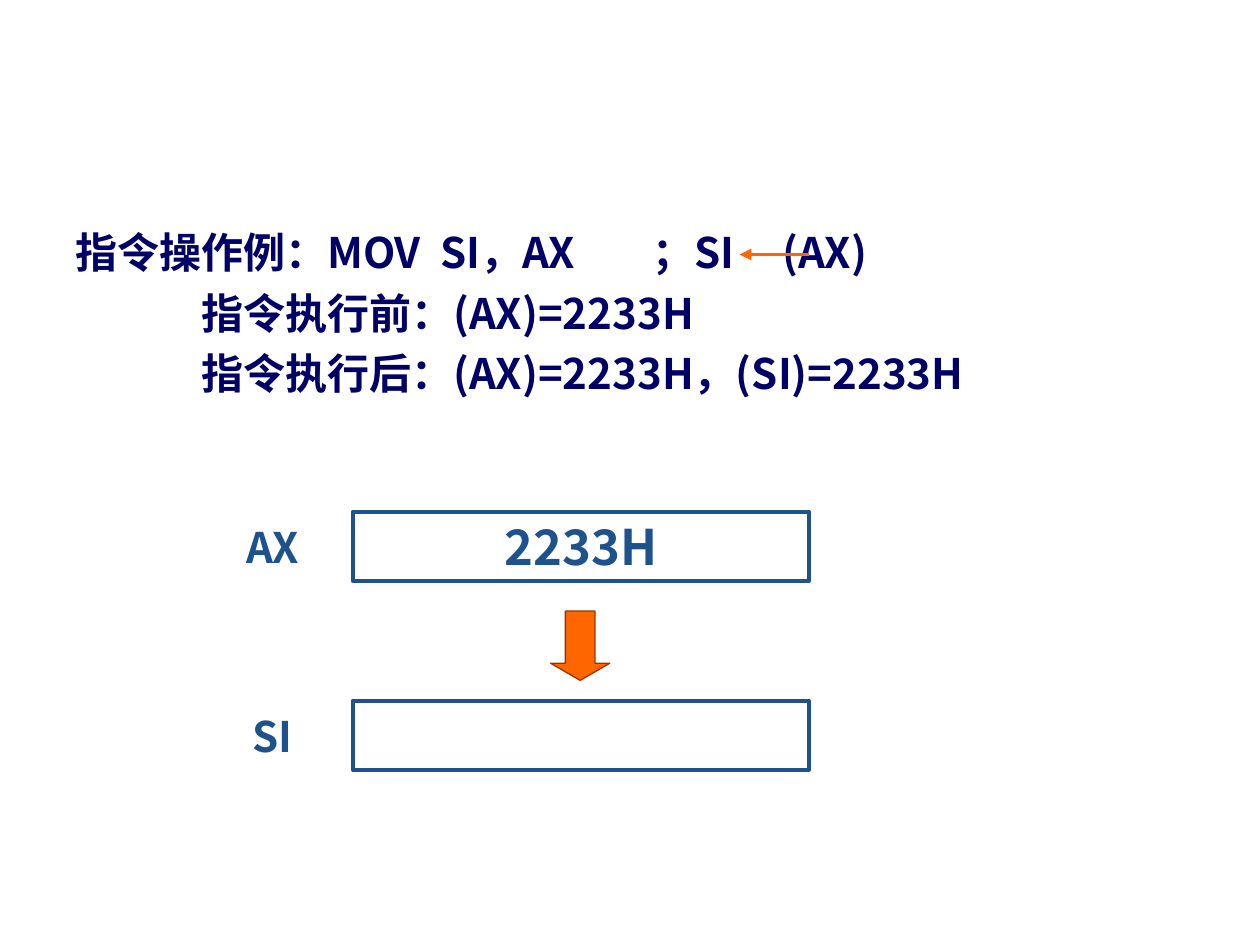
import pptx
import pptx.util
import pptx.dml.color
import pptx.enum.shapes
import pptx.enum.text
import pptx.oxml.ns
from lxml import etree

Inches = pptx.util.Inches
Pt = pptx.util.Pt
RGBColor = pptx.dml.color.RGBColor
SHAPES = pptx.enum.shapes.MSO_SHAPE
CENTER = pptx.enum.text.PP_ALIGN.CENTER
MIDDLE = pptx.enum.text.MSO_ANCHOR.MIDDLE

NAVY = RGBColor(0x00, 0x00, 0x66)
BLUE = RGBColor(0x1D, 0x52, 0x8D)
ORANGE = RGBColor(0xFF, 0x66, 0x00)
BROWN = RGBColor(0x99, 0x33, 0x00)
FONT = "Noto Sans CJK SC"

INSTRUCTION = "指令操作例：MOV  SI，AX\t；SI\t(AX)"
STATES = ["指令执行前：(AX)=2233H", "指令执行后：(AX)=2233H，(SI)=2233H"]


def add_xml(parent, tag, **attributes):
    return etree.SubElement(parent, pptx.oxml.ns.qn(tag), attributes)


def format_runs(paragraph, size, color):
    for run in paragraph.runs:
        run.font.name = FONT
        run.font.size = Pt(size)
        run.font.bold = True
        run.font.color.rgb = color
        add_xml(run.font._element, "a:ea", typeface=FONT)


def clear_margins(frame):
    frame.margin_left = frame.margin_right = 0
    frame.margin_top = frame.margin_bottom = 0


def add_example(slide, left, top, width, height):
    """Place the instruction, its transfer arrow and the states around it."""
    frame = slide.shapes.add_textbox(left, top, width, height).text_frame
    frame.word_wrap = True
    frame.text = "\n".join([INSTRUCTION] + STATES)
    for index, paragraph in enumerate(frame.paragraphs):
        properties = paragraph._p.get_or_add_pPr()
        if index == 0:
            tabs = add_xml(properties, "a:tabLst")
            for position in (4.58, 5.61):
                add_xml(tabs, "a:tab", pos=str(Inches(position)), algn="l")
        else:
            properties.set("marL", str(Inches(1)))
        paragraph.line_spacing = 1.2
        format_runs(paragraph, 24, NAVY)

    arrow_y = top + Inches(0.35)
    transfer = slide.shapes.add_connector(
        pptx.enum.shapes.MSO_CONNECTOR.STRAIGHT,
        left + Inches(5.92), arrow_y, left + Inches(5.37), arrow_y)
    transfer.line.color.rgb = ORANGE
    transfer.line.width = Pt(2.25)
    add_xml(transfer.line._get_or_add_ln(), "a:tailEnd", type="triangle")
    add_xml(transfer._element.spPr, "a:effectLst")


def add_register(slide, left, top, name, value):
    """Place a register's name beside the cell that holds its value."""
    label = slide.shapes.add_textbox(
        left, top + Inches(0.08), Inches(0.63), Inches(0.4)).text_frame
    clear_margins(label)
    label.word_wrap = True
    label.text = name
    label.paragraphs[0].alignment = CENTER
    format_runs(label.paragraphs[0], 24, BLUE)

    cell = slide.shapes.add_shape(
        SHAPES.RECTANGLE, left + Inches(0.95), top, Inches(3.62), Inches(0.55))
    cell.shadow.inherit = False
    cell.fill.background()
    cell.line.color.rgb = BLUE
    cell.line.width = Pt(2.25)
    if value:
        frame = cell.text_frame
        clear_margins(frame)
        frame.word_wrap = False
        frame.vertical_anchor = MIDDLE
        frame.text = value
        frame.paragraphs[0].alignment = CENTER
        format_runs(frame.paragraphs[0], 28, BLUE)


def add_register_transfer(slide, left, top):
    add_register(slide, left, top, "AX", "2233H")
    add_register(slide, left, top + Inches(1.5), "SI", "")
    arrow = slide.shapes.add_shape(
        SHAPES.DOWN_ARROW, left + Inches(2.52), top + Inches(0.79),
        Inches(0.47), Inches(0.55))
    arrow.adjustments[0] = 0.5
    arrow.adjustments[1] = 0.29
    arrow.shadow.inherit = False
    arrow.fill.solid()
    arrow.fill.fore_color.rgb = ORANGE
    arrow.line.color.rgb = BROWN
    arrow.line.width = Pt(0.75)


def main():
    presentation = pptx.Presentation()
    presentation.slide_width = Inches(10)
    presentation.slide_height = Inches(7.5)
    slide = presentation.slides.add_slide(presentation.slide_layouts[6])
    add_example(slide, Inches(0.5), Inches(1.67), Inches(9.17), Inches(5.25))
    add_register_transfer(slide, Inches(1.85), Inches(4.06))
    presentation.save("out.pptx")


if __name__ == "__main__":
    main()
